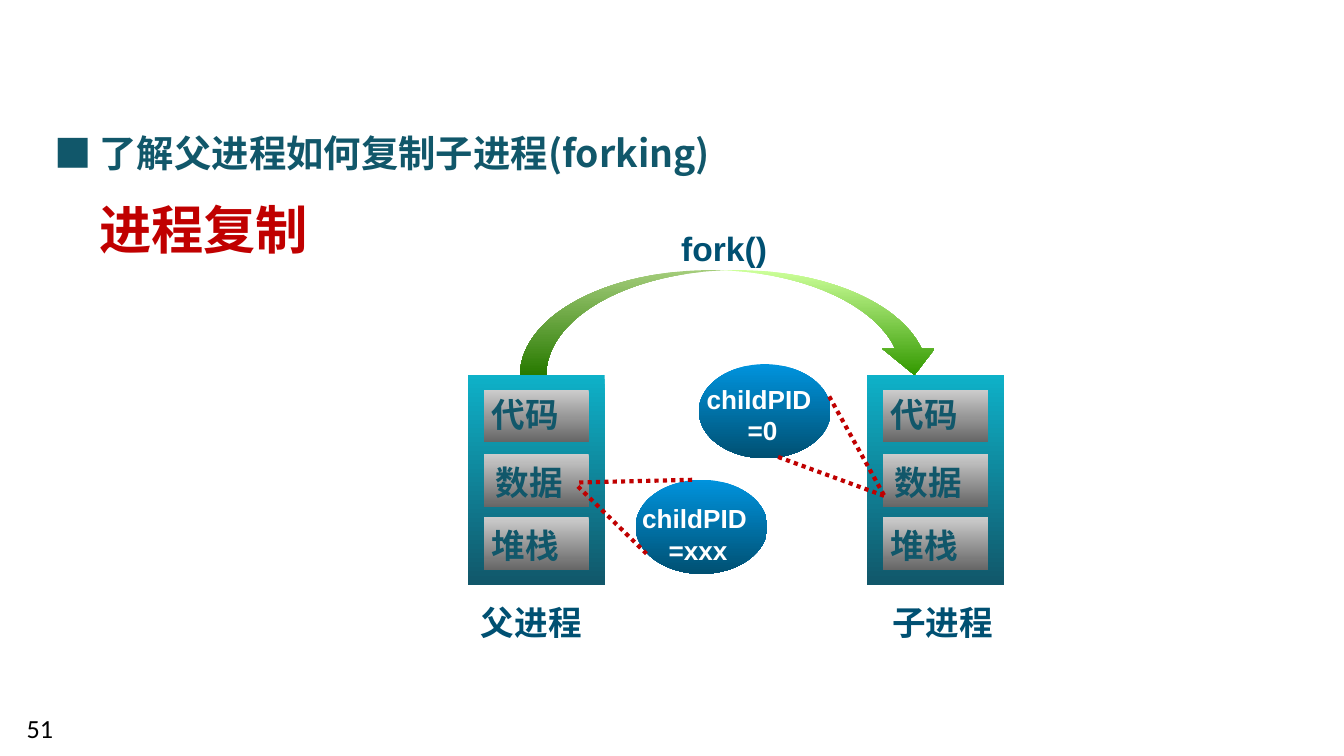
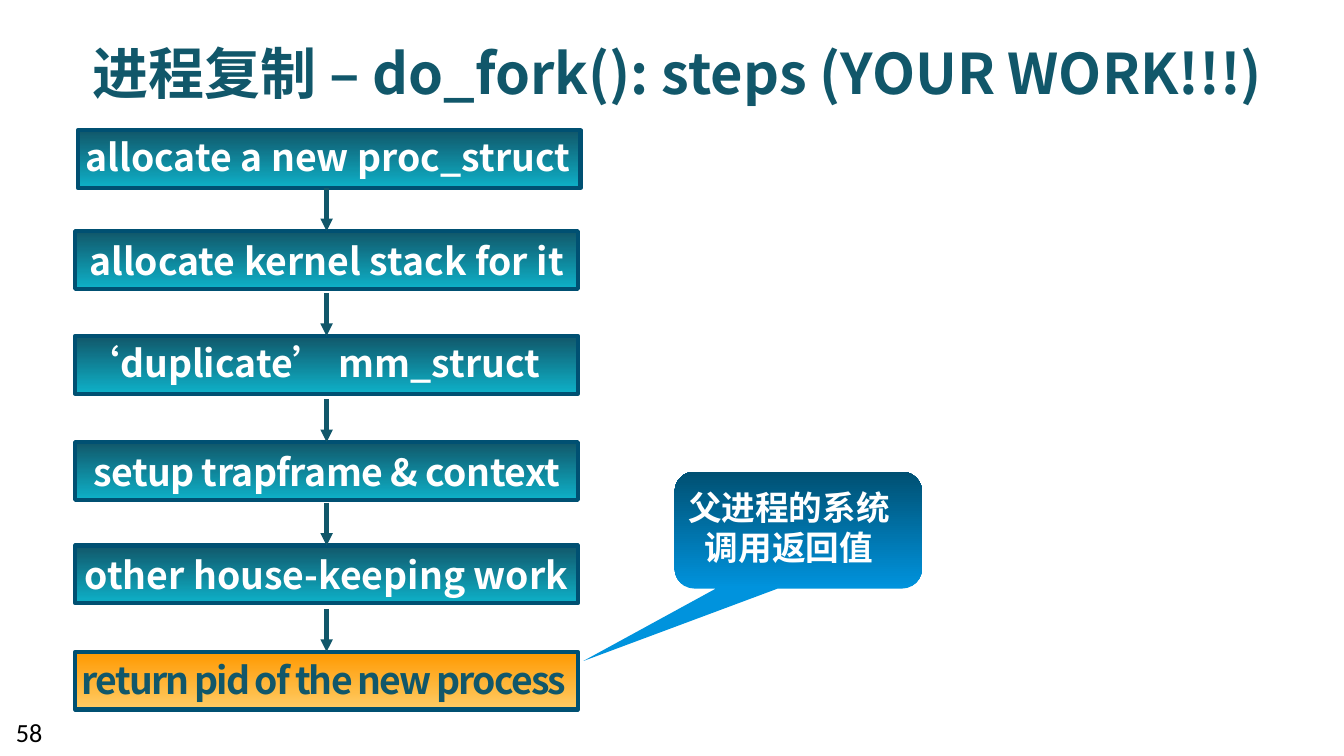
from dataclasses import dataclass

from lxml import etree
from pptx import Presentation
from pptx import util as u
from pptx.dml.color import RGBColor
from pptx.enum import dml, shapes, text
from pptx.oxml.ns import qn

SHAPE = shapes.MSO_SHAPE
ALIGN = text.PP_ALIGN
ANCHOR = text.MSO_ANCHOR
DOWN, UP = 270, 90  # direction in which a gradient runs


@dataclass(frozen=True)
class Theme:
    teal: str = "11576A"
    navy: str = "005072"
    red: str = "C00000"
    black: str = "000000"
    white: str = "FFFFFF"
    process: tuple = ("0EB1C8", "11576A")
    segment: tuple = ("CCCCCC", "666666")
    bubble: tuple = ("0093DD", "005072")
    arc: tuple = ("CCFF99", "339900")
    result: tuple = ("FFCC66", "FF9900")
    cjk: str = "Noto Sans CJK SC"
    square: str = "Noto Sans CJK JP"
    latin: str = "Arial"
    number: str = "Calibri"
    title_size: int = 30
    topic_size: int = 28
    body_size: int = 20
    label_size: int = 18
    small_size: int = 14
    line_width: float = 2.25


T = Theme()


def box(left, top, width, height):
    return [u.Inches(v) for v in (left, top, width, height)]


def write(tf, lines, size=T.label_size, color=T.teal, font=T.latin, bold=True,
          aligns=(ALIGN.LEFT,), spacing=0, wrap=True, anchor=ANCHOR.TOP):
    """Fill a text frame; aligns holds one alignment per line, the last one repeats."""
    tf.word_wrap = wrap
    tf.auto_size = text.MSO_AUTO_SIZE.NONE
    tf.vertical_anchor = anchor
    for i, line in enumerate(lines.split("\n")):
        p = tf.paragraphs[0] if i == 0 else tf.add_paragraph()
        p.alignment = aligns[min(i, len(aligns) - 1)]
        r = p.add_run()
        r.text = line
        r.font.size = u.Pt(size)
        r.font.bold = bold
        r.font.color.rgb = RGBColor.from_string(color)
        r.font.name = font
        rpr = r.font._element
        east = T.cjk if font in (T.latin, T.number) else font
        etree.SubElement(rpr, qn("a:ea")).set("typeface", east)
        if spacing:
            rpr.set("spc", str(round(spacing * 100)))


def add_text(parent, place, lines, **fmt):
    sp = parent.add_textbox(*box(*place))
    write(sp.text_frame, lines, **fmt)


def add_gradient_shape(parent, kind, place, colors, direction=DOWN, line=None):
    sp = parent.add_shape(kind, *box(*place))
    sp.shadow.inherit = False
    sp.fill.gradient()
    sp.fill.gradient_angle = direction
    for stop, color in zip(sp.fill.gradient_stops, colors):
        stop.color.rgb = RGBColor.from_string(color)
    if line:
        sp.line.color.rgb = RGBColor.from_string(line)
        sp.line.width = u.Pt(T.line_width)
    else:
        sp.line.fill.background()
    return sp


def add_line(parent, start, end, color, dotted=False, arrow=False):
    ends = [u.Inches(v) for v in (*start, *end)]
    cx = parent.add_connector(shapes.MSO_CONNECTOR.STRAIGHT, *ends)
    cx.line.color.rgb = RGBColor.from_string(color)
    cx.line.width = u.Pt(T.line_width)
    if dotted:
        cx.line.dash_style = dml.MSO_LINE.ROUND_DOT
    if arrow:
        etree.SubElement(cx.line._ln, qn("a:tailEnd")).set("type", "triangle")
    etree.SubElement(cx._element.spPr, qn("a:effectLst"))


def add_titled_slide(prs, title, place, **fmt):
    s = prs.slides.add_slide(prs.slide_layouts[5])
    sp = s.shapes.title
    sp.left, sp.top, sp.width, sp.height = box(*place)
    write(sp.text_frame, title, font=T.cjk, anchor=ANCHOR.MIDDLE, **fmt)
    return s


def add_page_number(s, number, left, top):
    add_text(s.shapes, (left, top, 0.48, 0.3), number, size=T.small_size,
             color=T.black, font=T.number, bold=False)


def add_process(s, name, left, name_left):
    """Draw a process with its three memory segments and its name below."""
    grp = s.shapes.add_group_shape().shapes
    add_gradient_shape(grp, SHAPE.RECTANGLE, (left, 2.79, 1.02, 1.56), T.process)
    segments = (("代码", 2.9, 0.08, -0.02), ("数据", 3.38, 0.11, 0.01),
                ("堆栈", 3.85, 0.08, 0.01))
    for label, top, dx, dy in segments:
        add_gradient_shape(grp, SHAPE.RECTANGLE, (left + 0.12, top, 0.78, 0.39),
                           T.segment)
        add_text(grp, (left + dx, top + dy, 0.71, 0.4), label, wrap=False)
    add_text(s.shapes, (name_left, 4.43, 0.96, 0.4), name, color=T.navy, wrap=False)


def add_pid_bubble(s, value, place, label_place, data_links):
    """Draw a childPID bubble and the dotted lines from it to the data segment."""
    add_gradient_shape(s.shapes, SHAPE.OVAL, (*place, 0.98, 0.7), T.bubble)
    add_text(s.shapes, (*label_place, 1.03, 0.57), f"childPID\n={value}",
             size=T.small_size, color=T.white, wrap=False,
             aligns=(ALIGN.LEFT, ALIGN.CENTER))
    for start, end in data_links:
        add_line(s.shapes, start, end, T.red, dotted=True)


def add_step(s, label, top, left=0.56, center=2.43, label_dy=0, colors=T.process,
             color=T.white, spacing=0):
    """Draw a step box and its label, which is centred on the given x."""
    grp = s.shapes.add_group_shape().shapes
    add_gradient_shape(grp, SHAPE.RECTANGLE, (left, top, 3.74, 0.43), colors,
                       direction=UP, line=T.navy)
    add_text(grp, (center - 1.94, top + label_dy, 3.88, 0.44), label,
             size=T.body_size, color=color, font=T.cjk, spacing=spacing, wrap=False,
             aligns=(ALIGN.CENTER,))


def add_callout(s, lines):
    grp = s.shapes.add_group_shape().shapes
    sp = add_gradient_shape(grp, SHAPE.ROUNDED_RECTANGULAR_CALLOUT,
                            (5.02, 3.51, 1.84, 0.87), T.bubble, direction=UP)
    for i, value in enumerate((-0.87, 1.12, 0.17)):
        sp.adjustments[i] = value
    add_text(grp, (5.01, 3.57, 1.72, 0.71), lines, color=T.white, font=T.cjk,
             wrap=False, aligns=(ALIGN.CENTER,))


def build_forking(prs):
    s = add_titled_slide(prs, "了解父进程如何复制子进程(forking)",
                         (0.64, 0.9, 4.84, 0.47), size=T.body_size)
    add_text(s.shapes, (0.31, 0.92, 0.47, 0.44), "■", size=T.body_size, font=T.square)
    add_text(s.shapes, (0.64, 1.42, 2.58, 0.47), "进程复制", size=T.topic_size,
             color=T.red, font=T.cjk)
    add_page_number(s, "51", 0.1, 5.25)
    add_gradient_shape(s.shapes, SHAPE.CURVED_DOWN_ARROW, (3.87, 2.01, 3.13, 0.78),
                       T.arc)
    add_text(s.shapes, (4.97, 1.65, 0.92, 0.4), "fork()", color=T.navy, wrap=False)
    add_process(s, "子进程", 6.45, 6.54)
    add_process(s, "父进程", 3.48, 3.48)
    add_pid_bubble(s, "xxx", (4.73, 3.57), (4.68, 3.69),
                   [((4.3, 3.62), (4.81, 4.12)), ((4.31, 3.59), (5.17, 3.57))])
    add_pid_bubble(s, "0", (5.2, 2.71), (5.16, 2.8),
                   [((6.17, 2.95), (6.58, 3.69)), ((5.79, 3.4), (6.58, 3.69))])


def build_do_fork_steps(prs):
    s = add_titled_slide(prs, "进程复制 – do_fork(): steps (YOUR WORK!!!)",
                         (0.39, 0.23, 9.3, 0.61), size=T.title_size,
                         aligns=(ALIGN.CENTER,))
    steps = [
        ("allocate a new proc_struct", 0.97,
         {"left": 0.58, "center": 2.44, "label_dy": -0.02}),
        ("allocate kernel stack for it", 1.72, {}),
        ("‘duplicate’ mm_struct", 2.5, {"center": 2.32, "label_dy": -0.02}),
        ("setup trapframe & context", 3.29, {"spacing": -0.3}),
        ("other house-keeping work", 4.06, {}),
        ("return pid of the new process", 4.85,
         {"center": 2.41, "label_dy": -0.01, "colors": T.result, "color": T.teal,
          "spacing": -1}),
    ]
    for i, (label, top, fmt) in enumerate(steps):
        add_step(s, label, top, **fmt)
        if i:
            add_line(s.shapes, (2.43, top - 0.32), (2.43, top), T.teal, arrow=True)
    add_callout(s, "父进程的系统\n调用返回值")
    add_page_number(s, "58", 0.02, 5.28)


def main():
    prs = Presentation()
    prs.slide_width = u.Inches(10)
    prs.slide_height = prs.slide_width * 9 // 16
    build_forking(prs)
    build_do_fork_steps(prs)
    prs.save("out.pptx")


if __name__ == "__main__":
    main()
